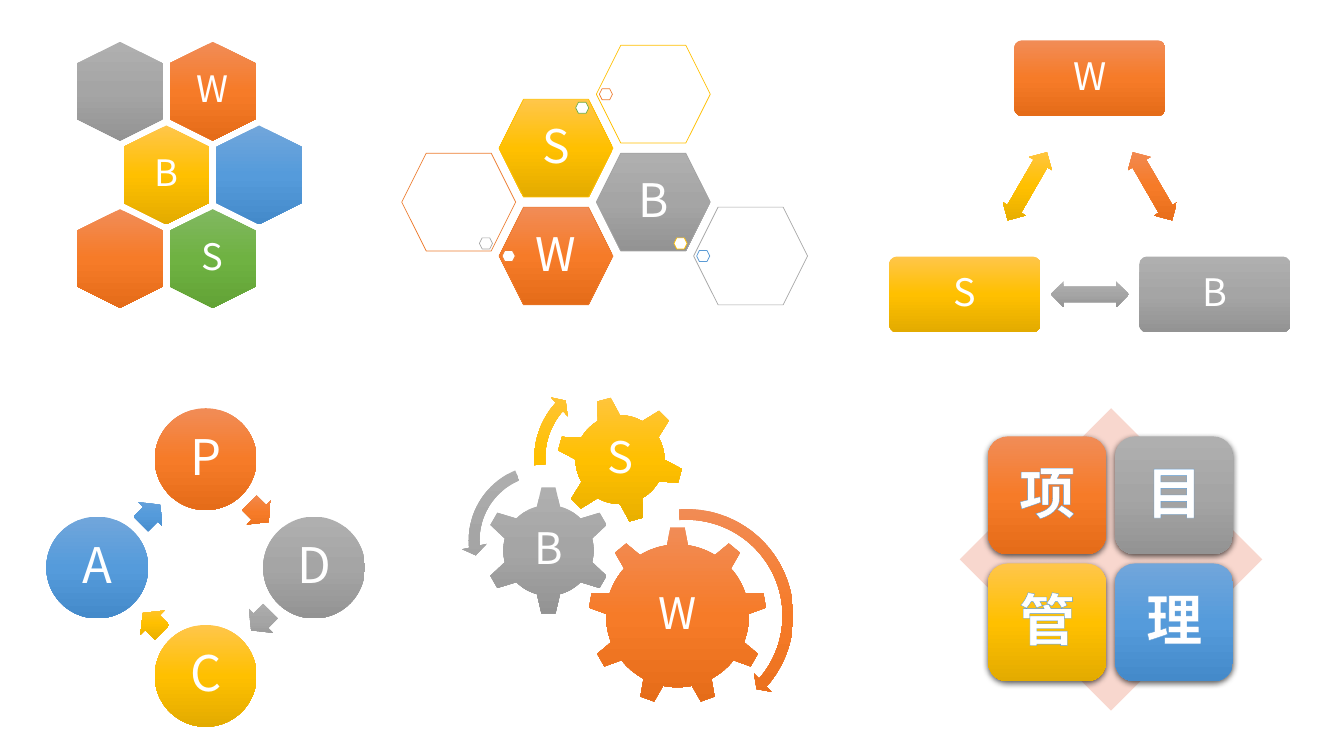
import math
from dataclasses import dataclass

import pptx
import pptx.dml.color
import pptx.enum.shapes
import pptx.enum.text
import pptx.oxml
import pptx.oxml.ns
import pptx.shapes.autoshape
import pptx.shapes.group
import pptx.util

Inches = pptx.util.Inches
Kind = pptx.enum.shapes.MSO_SHAPE
NAMESPACE = pptx.oxml.ns.nsdecls("a")
FONT = "Noto Sans CJK SC"

COLORS = {
    "orange": "ED7D31", "gray": "A5A5A5", "gold": "FFC000",
    "blue": "5B9BD5", "green": "70AD47", "white": "FFFFFF", "pink": "F8D7CE",
}
GRADIENTS = {
    "orange": ("F18C57", "F67B28", "E56C19"),
    "gray": ("AFAFAF", "A5A5A5", "939393"),
    "gold": ("FFC64B", "FFC000", "E3AB00"),
    "blue": ("71A6DB", "559BDB", "448ACA"),
    "green": ("81B861", "6FB242", "62A336"),
}


@dataclass(frozen=True)
class Figure:
    """A preset shape placed by its centre, in inches."""
    kind: Kind
    x: float
    y: float
    width: float
    height: float
    color: str
    rotation: float = 0
    adjustments: tuple[float, ...] = ()
    outline: str = ""
    gradient: bool = True
    opacity: int = 100
    shadow: bool = False


@dataclass(frozen=True)
class LabelStyle:
    width: float
    height: float
    size: int
    inset_x: float
    inset_y: float
    bold: bool = False
    outline: str = ""


HEXAGON_LABEL = LabelStyle(0.59, 0.67, 26, 0.11, 0.11)
CYCLE_LABEL = LabelStyle(0.71, 0.71, 35, 0.05, 0.05)
CLUSTER_LABEL = LabelStyle(0.78, 0.67, 33, 0, 0.05)
BIG_GEAR_LABEL = LabelStyle(1.06, 0.91, 31, 0.04, 0.04)
GEAR_LABEL = LabelStyle(0.64, 0.64, 31, 0.04, 0.04)
BOX_LABEL = LabelStyle(1.46, 0.71, 27, 0.11, 0.11)
TILE_LABEL = LabelStyle(1.05, 1.05, 40, 0.17, 0.17, True, "blue")


def rgb(name: str) -> pptx.dml.color.RGBColor:
    return pptx.dml.color.RGBColor.from_string(COLORS[name])


def fill_gradient(shape: pptx.shapes.autoshape.Shape, color: str) -> None:
    """Fill from top to bottom, whatever the rotation of the shape."""
    stops = "".join(
        f'<a:gs pos="{index * 50000}"><a:srgbClr val="{value}"/></a:gs>'
        for index, value in enumerate(GRADIENTS[color]))
    gradient = pptx.oxml.parse_xml(
        f'<a:gradFill {NAMESPACE} rotWithShape="0"><a:gsLst>{stops}</a:gsLst>'
        '<a:lin ang="5400000" scaled="0"/></a:gradFill>')
    shape.fill.background()
    properties = shape.element.spPr
    properties.replace(properties.find(pptx.oxml.ns.qn("a:noFill")), gradient)


def add_figure(group: pptx.shapes.group.GroupShape, figure: Figure) -> None:
    shape = group.shapes.add_shape(
        figure.kind, Inches(figure.x - figure.width / 2), Inches(figure.y - figure.height / 2),
        Inches(figure.width), Inches(figure.height))
    shape.rotation = figure.rotation
    for index, value in enumerate(figure.adjustments):
        shape.adjustments[index] = value
    if figure.gradient:
        fill_gradient(shape, figure.color)
    else:
        shape.fill.solid()
        shape.fill.fore_color.rgb = rgb(figure.color)
    if figure.opacity < 100:
        color = shape.element.spPr.find(".//" + pptx.oxml.ns.qn("a:srgbClr"))
        color.append(pptx.oxml.parse_xml(f'<a:alpha {NAMESPACE} val="{figure.opacity * 1000}"/>'))
    if figure.outline:
        shape.line.color.rgb = rgb(figure.outline)
        shape.line.width = pptx.util.Pt(0.5)
    else:
        shape.line.fill.background()
    shape.shadow.inherit = False
    if figure.shadow:
        shape.element.spPr.find(pptx.oxml.ns.qn("a:effectLst")).append(pptx.oxml.parse_xml(
            f'<a:outerShdw {NAMESPACE} blurRad="57150" dist="19050" dir="5400000" algn="ctr" '
            'rotWithShape="0"><a:srgbClr val="000000"><a:alpha val="63000"/></a:srgbClr></a:outerShdw>'))


def add_label(group: pptx.shapes.group.GroupShape, text: str, x: float, y: float,
              style: LabelStyle) -> None:
    box = group.shapes.add_textbox(
        Inches(x - style.width / 2), Inches(y - style.height / 2),
        Inches(style.width), Inches(style.height))
    frame = box.text_frame
    paragraph = frame.paragraphs[0]
    run = paragraph.add_run()
    run.text = text
    formats = {
        frame: {"word_wrap": True, "vertical_anchor": pptx.enum.text.MSO_ANCHOR.MIDDLE,
                "margin_left": Inches(style.inset_x), "margin_right": Inches(style.inset_x),
                "margin_top": Inches(style.inset_y), "margin_bottom": Inches(style.inset_y)},
        paragraph: {"alignment": pptx.enum.text.PP_ALIGN.CENTER, "line_spacing": 0.9},
        run.font: {"name": FONT, "size": pptx.util.Pt(style.size), "bold": style.bold},
    }
    for target, values in formats.items():
        for name, value in values.items():
            setattr(target, name, value)
    run.font.color.rgb = rgb("white")
    properties = run._r.get_or_add_rPr()
    properties.find(pptx.oxml.ns.qn("a:latin")).addnext(
        pptx.oxml.parse_xml(f'<a:ea {NAMESPACE} typeface="{FONT}"/>'))
    if style.outline:
        properties.insert(0, pptx.oxml.parse_xml(
            f'<a:ln {NAMESPACE} w="12700"><a:solidFill>'
            f'<a:srgbClr val="{COLORS[style.outline]}"/></a:solidFill></a:ln>'))


def draw_honeycomb(group: pptx.shapes.group.GroupShape) -> None:
    cells = ((0, 1, "orange", "W"), (0, 0, "gray", ""), (1, 0, "gold", "B"),
             (1, 1, "blue", ""), (2, 1, "green", "S"), (2, 0, "orange", ""))
    for row, column, color, text in cells:
        x, y = 1.19 + 0.92 * column + 0.46 * (row % 2), 0.905 + 0.83 * row
        add_figure(group, Figure(Kind.HEXAGON, x, y, 0.98, 0.85, color, 90))
        if text:
            add_label(group, text, x, y, HEXAGON_LABEL)


def draw_cycle(group: pptx.shapes.group.GroupShape) -> None:
    center_x, center_y = 2.04, 5.63
    for index, (color, text) in enumerate(zip(("orange", "gray", "gold", "blue"), "PDCA")):
        angle = math.radians(90 * index - 90)
        x, y = center_x + 1.075 * math.cos(angle), center_y + 1.075 * math.sin(angle)
        add_figure(group, Figure(Kind.OVAL, x, y, 1.01, 1.01, color))
        add_label(group, text, x, y, CYCLE_LABEL)
        angle = math.radians(90 * index - 46)
        add_figure(group, Figure(
            Kind.RIGHT_ARROW, center_x + 0.76 * math.cos(angle), center_y + 0.76 * math.sin(angle),
            0.27, 0.34, color, 45 + 90 * index, (0.6, 0.5)))


def draw_hexagon_cluster(group: pptx.shapes.group.GroupShape) -> None:
    """Draw large hexagons, each with a small one at a corner; those without text are open."""
    left, lower, upper = (-0.47, 0), (0.27, 0.41), (0.26, -0.4)
    cells = ((1, 3, "orange", "W", left, "orange"), (0, 2, "orange", "", lower, "gray"),
             (2, 2, "gray", "B", lower, "gold"), (3, 3, "gray", "", left, "blue"),
             (1, 1, "gold", "S", upper, "green"), (2, 0, "gold", "", left, "orange"))
    for column, row, color, text, (shift_x, shift_y), small_color in cells:
        x, y = 4.55 + 0.965 * column, 0.935 + 0.535 * row
        add_figure(group, Figure(
            Kind.HEXAGON, x, y, 1.13, 0.97, color if text else "white", outline=color,
            gradient=bool(text), opacity=100 if text else 90))
        if text:
            add_label(group, text, x, y, CLUSTER_LABEL)
        add_figure(group, Figure(Kind.HEXAGON, x + shift_x, y + shift_y, 0.13, 0.11, "white",
                                 outline=small_color, gradient=False))


def draw_gears(group: pptx.shapes.group.GroupShape) -> None:
    gears = (("W", BIG_GEAR_LABEL, Figure(Kind.GEAR_9, 6.72, 6.11, 1.77, 1.77, "orange")),
             ("B", GEAR_LABEL, Figure(Kind.GEAR_6, 5.44, 5.46, 1.28, 1.28, "gray")),
             ("S", GEAR_LABEL, Figure(Kind.GEAR_6, 6.15, 4.56, 1.26, 1.26, "gold", 345)))
    for text, style, gear in gears:
        add_figure(group, gear)
        add_label(group, text, gear.x, gear.y, style)
    arrows = (
        (Kind.CIRCULAR_ARROW, 6.81, 6.11, 2.26, "orange", (0.047, 2.99, 24.761, 159.506, 0.055)),
        (Kind.LEFT_CIRCULAR_ARROW, 5.4, 5.36, 1.64, "gray", (0.065, 4.3, 104.891, 148.378, 0.075)),
        (Kind.CIRCULAR_ARROW, 6.115, 4.545, 1.77, "gold", (0.06, 3.941, 133.138, 105.082, 0.07)))
    for kind, x, y, size, color, adjustments in arrows:
        add_figure(group, Figure(kind, x, y, size, size, color, adjustments=adjustments))


def draw_triangle(group: pptx.shapes.group.GroupShape) -> None:
    """Draw three boxes with a two-way arrow halfway between each and the next."""
    boxes = (("W", "orange", 10.81, 0.775), ("B", "gray", 12.05, 2.92), ("S", "gold", 9.57, 2.92))
    for index, (text, color, x, y) in enumerate(boxes):
        next_x, next_y = boxes[(index + 1) % 3][2:]
        add_figure(group, Figure(Kind.ROUNDED_RECTANGLE, x, y, 1.5, 0.75, color, adjustments=(0.1,)))
        add_label(group, text, x, y, BOX_LABEL)
        add_figure(group, Figure(Kind.LEFT_RIGHT_ARROW, (x + next_x) / 2, (y + next_y) / 2,
                                 0.78, 0.26, color, 60 + 120 * index, (0.6, 0.5)))


def draw_tiles(group: pptx.shapes.group.GroupShape) -> None:
    add_figure(group, Figure(Kind.DIAMOND, 11.02, 5.55, 3, 3, "pink", gradient=False))
    for index, (color, text) in enumerate(zip(("orange", "gray", "gold", "blue"), "项目管理")):
        row, column = divmod(index, 2)
        x, y = 10.385 + 1.26 * column, 4.915 + 1.26 * row
        add_figure(group, Figure(Kind.ROUNDED_RECTANGLE, x, y, 1.17, 1.17, color, shadow=True))
        add_label(group, text, x, y, TILE_LABEL)


def main() -> None:
    presentation = pptx.Presentation()
    presentation.slide_width, presentation.slide_height = Inches(13.33), Inches(7.5)
    slide = presentation.slides.add_slide(presentation.slide_layouts[6])
    for draw in (draw_honeycomb, draw_cycle, draw_hexagon_cluster, draw_gears, draw_triangle, draw_tiles):
        draw(slide.shapes.add_group_shape())
    presentation.save("out.pptx")


if __name__ == "__main__":
    main()
